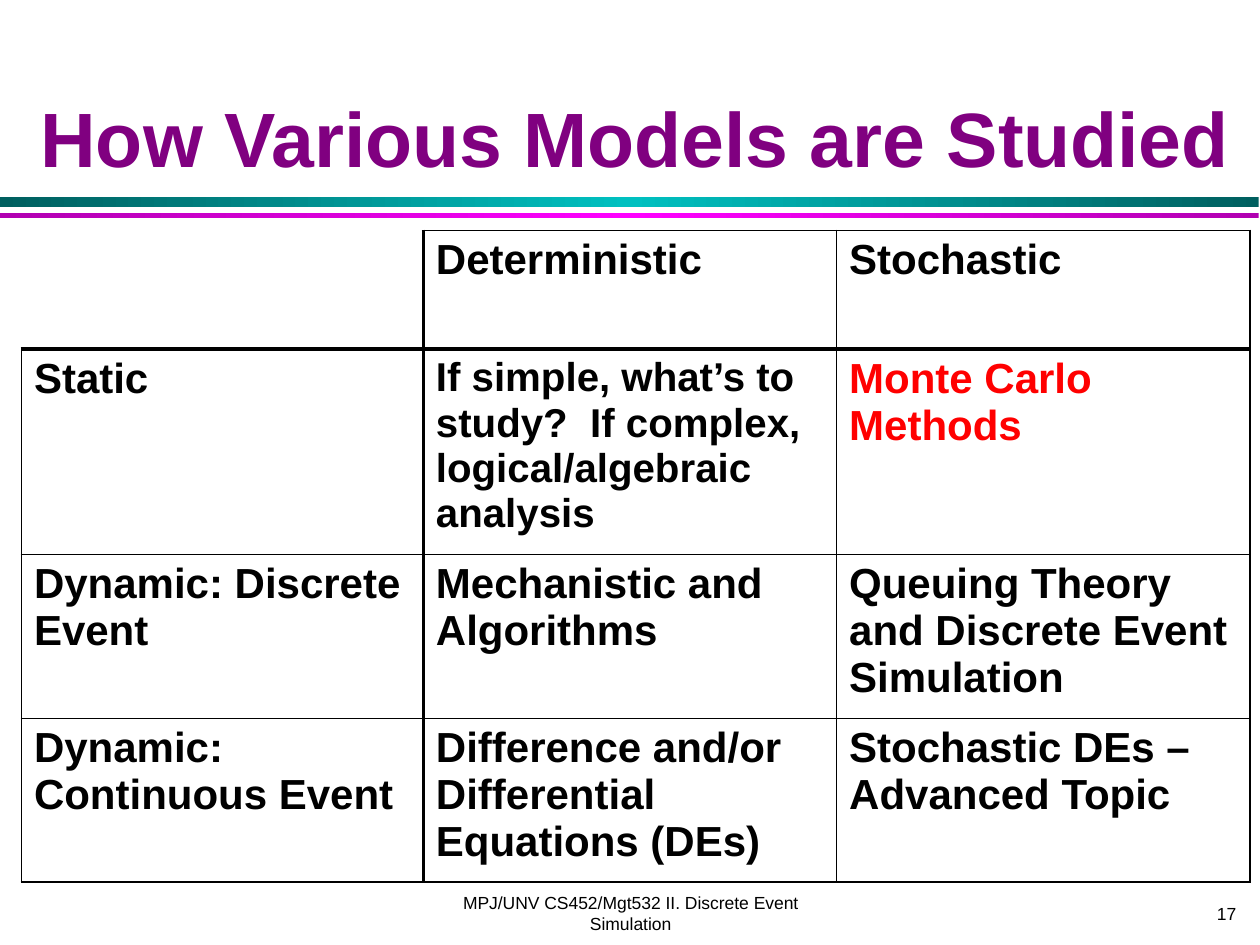
from copy import deepcopy

from pptx import Presentation
from pptx.dml.color import RGBColor
from pptx.enum.shapes import MSO_SHAPE as Shape
from pptx.enum.text import MSO_ANCHOR as Anchor, MSO_AUTO_SIZE as AutoSize, PP_ALIGN as Align
from pptx.oxml.ns import qn
from pptx.oxml.xmlchemy import OxmlElement
from pptx.util import Inches, Pt

THEME = {
    "font": "Arial",
    "title": "800080", "text": "000000", "accent": "FF0000",
    "title_size": 44, "cell_size": 24, "dense_size": 23, "footer_size": 10,
}

TITLE = "How Various Models are Studied"
FOOTER = "MPJ/UNV CS452/Mgt532 II. Discrete Event Simulation"
PAGE_NUMBER = "17"
MODELS = [
    ["", "Deterministic", "Stochastic"],
    ["Static", "If simple, what’s to study?  If complex, logical/algebraic analysis",
     "Monte Carlo Methods"],
    ["Dynamic: Discrete Event", "Mechanistic and Algorithms",
     "Queuing Theory and Discrete Event Simulation"],
    ["Dynamic: Continuous Event", "Difference and/or Differential Equations (DEs)",
     "Stochastic DEs – Advanced Topic"],
]
DENSE_CELL, ACCENT_CELL = (1, 1), (1, 2)

TABLE_LEFT, TABLE_TOP = 0.17, 1.83
COLUMN_WIDTHS = [3.19, 3.28, 3.28]
ROW_HEIGHTS = [0.94, 1.63, 1.3, 1.3]
# Widths in points of the rules before, between and after the columns and rows
COLUMN_RULES = [1.08, 2.21, 0.45, 1.08]
ROW_RULES = [1.08, 2.21, 0.45, 0.45, 1.08]

# Top, height, edge colour, middle colour
BANDS = [(1.56, 0.08, "005F5F", "00C0C0"), (1.69, 0.04, "B100B1", "FF00FF")]


def style(paragraph, size, color="text", bold=False, align=Align.LEFT):
    paragraph.alignment = align
    font = paragraph.font
    font.name, font.size, font.bold = THEME["font"], Pt(size), bold
    font.color.rgb = RGBColor.from_string(THEME[color])


def add_band(slide, top, height, edge, middle):
    band = slide.shapes.add_shape(Shape.RECTANGLE, 0, Inches(top), Inches(9.99), Inches(height))
    band.shadow.inherit = False
    band.line.fill.background()
    band.fill.gradient()
    band.fill.gradient_angle = 0
    stop_list = band._element.spPr.find(".//" + qn("a:gsLst"))
    stop_list.append(deepcopy(stop_list[0]))
    for stop, position, color in zip(band.fill.gradient_stops, (0, 0.5, 1), (edge, middle, edge)):
        stop.position = position
        stop.color.rgb = RGBColor.from_string(color)


def add_border(cell, side, width):
    """Rule one side (L, R, T or B) of a cell; a width of 0 hides it."""
    line = OxmlElement(f"a:ln{side}")
    line.set("w", str(Pt(width)))
    fill = OxmlElement("a:solidFill" if width else "a:noFill")
    if width:
        color = OxmlElement("a:srgbClr")
        color.set("val", THEME["text"])
        fill.append(color)
    line.append(fill)
    cell._tc.get_or_add_tcPr().append(line)


def fill_cell(cell, row, column):
    corner = (row, column) == (0, 0)
    add_border(cell, "L", 0 if corner else COLUMN_RULES[column])
    add_border(cell, "R", COLUMN_RULES[column + 1])
    add_border(cell, "T", 0 if corner else ROW_RULES[row])
    add_border(cell, "B", ROW_RULES[row + 1])
    cell.fill.background()
    cell.text = MODELS[row][column]
    paragraph = cell.text_frame.paragraphs[0]
    paragraph.space_before = Pt(3)
    style(paragraph,
          THEME["dense_size" if (row, column) == DENSE_CELL else "cell_size"],
          "accent" if (row, column) == ACCENT_CELL else "text", bold=True)


def add_models_table(slide):
    table = slide.shapes.add_table(
        len(ROW_HEIGHTS), len(COLUMN_WIDTHS), Inches(TABLE_LEFT), Inches(TABLE_TOP),
        Inches(sum(COLUMN_WIDTHS)), Inches(sum(ROW_HEIGHTS))).table
    table.first_row = table.horz_banding = False
    for column, width in zip(table.columns, COLUMN_WIDTHS):
        column.width = Inches(width)
    for row, height in zip(table.rows, ROW_HEIGHTS):
        row.height = Inches(height)
    for row in range(len(ROW_HEIGHTS)):
        for column in range(len(COLUMN_WIDTHS)):
            fill_cell(table.cell(row, column), row, column)


def add_footer(slide, text, left, width, align):
    box = slide.shapes.add_textbox(Inches(left), Inches(7), Inches(width), Inches(0.5))
    frame = box.text_frame
    frame.word_wrap, frame.vertical_anchor = True, Anchor.MIDDLE
    frame.text = text
    style(frame.paragraphs[0], THEME["footer_size"], align=align)


def add_title(slide):
    title = slide.shapes.title
    title.left, title.top = Inches(0.17), Inches(0.25)
    title.width, title.height = Inches(9.75), Inches(1.25)
    frame = title.text_frame
    frame.text = TITLE
    frame.auto_size, frame.vertical_anchor = AutoSize.NONE, Anchor.BOTTOM
    style(frame.paragraphs[0], THEME["title_size"], "title", bold=True, align=Align.CENTER)


def main():
    presentation = Presentation()
    presentation.slide_width, presentation.slide_height = Inches(10), Inches(7.5)
    slide = presentation.slides.add_slide(presentation.slide_layouts.get_by_name("Title Only"))
    for band in BANDS:
        add_band(slide, *band)
    add_title(slide)
    add_models_table(slide)
    add_footer(slide, FOOTER, 3.42, 3.17, Align.CENTER)
    add_footer(slide, PAGE_NUMBER, 7.83, 2.08, Align.RIGHT)
    presentation.save("out.pptx")


if __name__ == "__main__":
    main()
